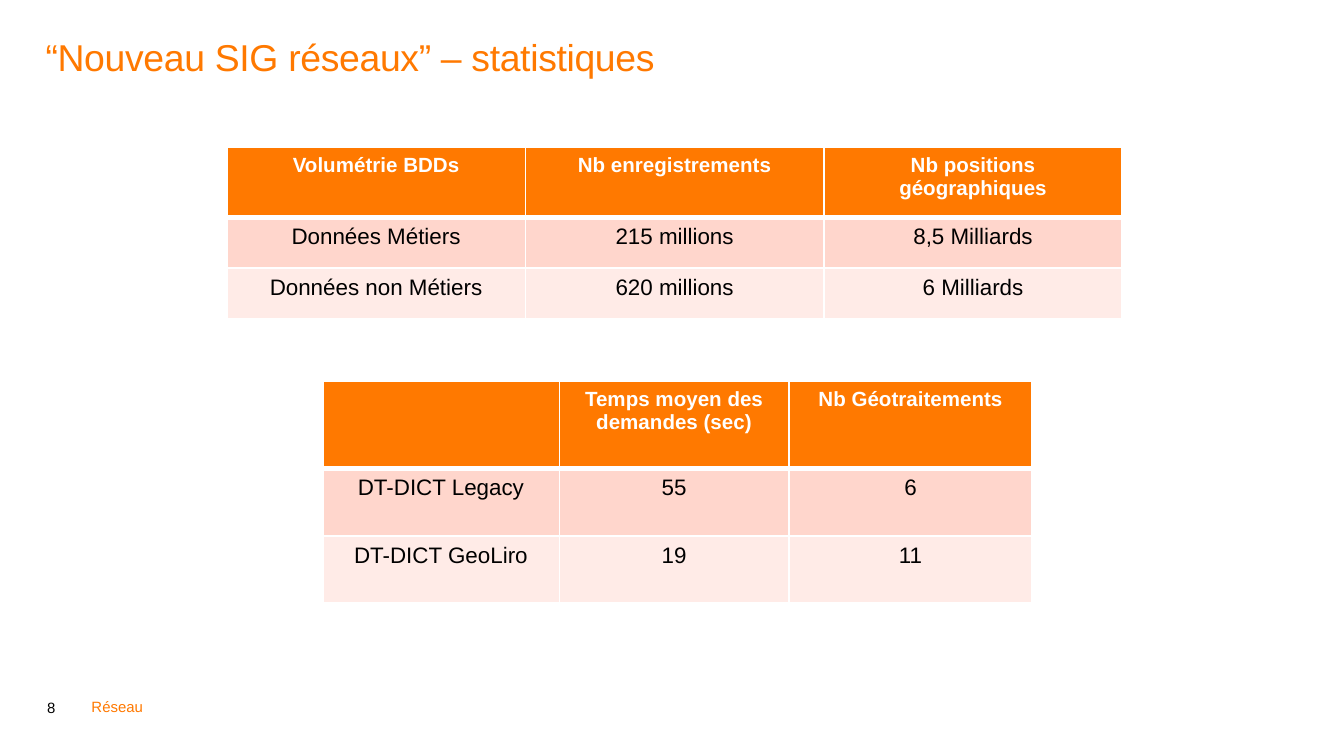
from pptx import Presentation
from pptx.dml.color import RGBColor
from pptx.enum.text import MSO_ANCHOR, MSO_AUTO_SIZE, PP_ALIGN
from pptx.oxml import parse_xml
from pptx.oxml.ns import nsdecls
from pptx.util import Cm, Pt

HUES = {"brand": "FF7900", "dark": "000000", "white": "FFFFFF",
        "odd": "FFD6CC", "even": "FFEBE7"}


class Deck:
    font = "Arial"
    thin, thick = 0.96, 3

    def __init__(self, wide, high):
        self.prs = Presentation()
        self.prs.slide_width, self.prs.slide_height = Cm(wide), Cm(high)
        self.slide = self.prs.slides.add_slide(self.prs.slide_layouts[5])

    def style(self, frame, size, hue, bold=False, align=PP_ALIGN.LEFT):
        for par in frame.paragraphs:
            par.alignment = align
            for run in par.runs:
                run.font.name, run.font.size, run.font.bold = self.font, Pt(size), bold
                run.font.color.rgb = RGBColor.from_string(HUES[hue])

    def place(self, frame, text, anchor, wrap=True):
        frame.text = text
        frame.word_wrap = wrap
        frame.auto_size = MSO_AUTO_SIZE.NONE
        frame.vertical_anchor = anchor
        frame.margin_left = frame.margin_right = 0
        frame.margin_top = frame.margin_bottom = 0

    def title(self, text, x, y, w, h):
        shape = self.slide.shapes.title
        shape.left, shape.top, shape.width, shape.height = Cm(x), Cm(y), Cm(w), Cm(h)
        frame = shape.text_frame
        self.place(frame, text, MSO_ANCHOR.TOP)
        self.style(frame, 20, "brand")
        par = frame.paragraphs[0]
        par.line_spacing = 0.9
        par.runs[0].font._element.set("spc", "-20")

    def note(self, text, x, y, w, h, hue, anchor=MSO_ANCHOR.TOP, wrap=True):
        frame = self.slide.shapes.add_textbox(Cm(x), Cm(y), Cm(w), Cm(h)).text_frame
        self.place(frame, text, anchor, wrap)
        self.style(frame, 8, hue)
        return frame.paragraphs[0]

    def edge(self, cell, row):
        props = cell._tc.get_or_add_tcPr()
        sizes = {"L": self.thin, "R": self.thin,
                 "T": self.thick if row == 1 else self.thin,
                 "B": self.thick if row == 0 else self.thin}
        for side, size in sizes.items():
            props.append(parse_xml(
                f'<a:ln{side} {nsdecls("a")} w="{Pt(size)}"><a:solidFill>'
                f'<a:srgbClr val="{HUES["white"]}"/></a:solidFill></a:ln{side}>'))

    def table(self, data, x, y, cols, rows):
        grid = self.slide.shapes.add_table(
            len(rows), len(cols), Cm(x), Cm(y), Cm(sum(cols)), Cm(sum(rows))).table
        for col, w in zip(grid.columns, cols):
            col.width = Cm(w)
        for r, (line, h) in enumerate(zip(data, rows)):
            grid.rows[r].height = Cm(h)
            fill = "brand" if r == 0 else "odd" if r % 2 else "even"
            for c, text in enumerate(line):
                cell = grid.cell(r, c)
                self.edge(cell, r)
                cell.fill.solid()
                cell.fill.fore_color.rgb = RGBColor.from_string(HUES[fill])
                cell.text_frame.text = text
                head = r == 0
                self.style(cell.text_frame, 11 if head else 12,
                           "white" if head else "dark", head, PP_ALIGN.CENTER)


deck = Deck(25.4, 14.29)

# Title
deck.title("“Nouveau SIG réseaux” – statistiques", 0.86, 0.74, 23.65, 2.06)

# Database volumes
deck.table([["Volumétrie BDDs", "Nb enregistrements", "Nb positions géographiques"],
            ["Données Métiers", "215 millions", "8,5 Milliards"],
            ["Données non Métiers", "620 millions", "6 Milliards"]],
           4.29, 2.79, [5.64] * 3, [1.32, 0.96, 0.96])

# Processing times
deck.table([["", "Temps moyen des demandes (sec)", "Nb Géotraitements"],
            ["DT-DICT Legacy", "55", "6"],
            ["DT-DICT GeoLiro", "19", "11"]],
           6.1, 7.21, [4.47, 4.34, 4.6], [1.65, 1.27, 1.27])

# Footer
page = deck.note("8", 0.89, 12.6, 0.73, 0.94, "dark", MSO_ANCHOR.BOTTOM)
page.line_spacing = 0.85
page.space_after = Pt(12)
deck.note("Réseau", 1.73, 13.18, 1.02, 0.33, "brand", wrap=False)

deck.prs.save("out.pptx")
